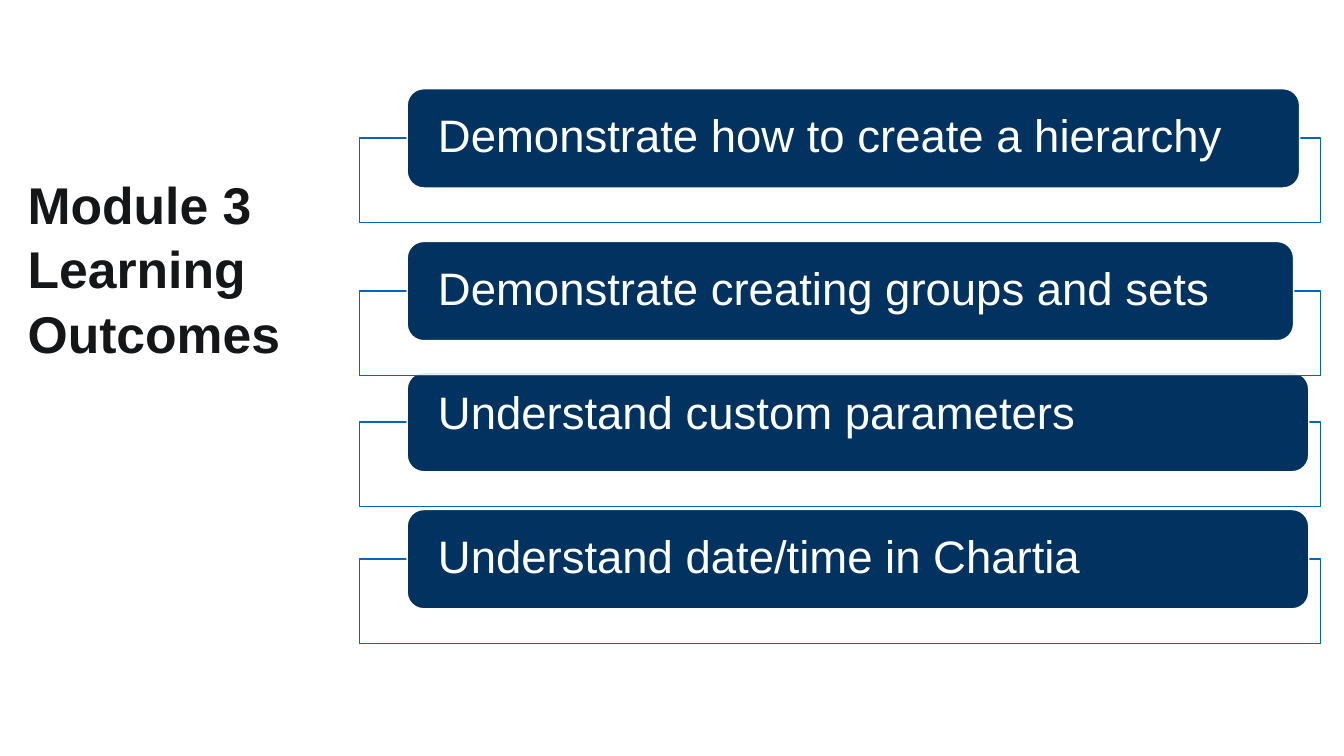
import pptx
import pptx.util
import pptx.dml.color
import pptx.enum.shapes
import pptx.enum.text
import pptx.oxml.ns
from dataclasses import dataclass
from lxml import etree

Inches = pptx.util.Inches
Pt = pptx.util.Pt
RGB = pptx.dml.color.RGBColor.from_string
SHAPE = pptx.enum.shapes.MSO_SHAPE
qn = pptx.oxml.ns.qn


@dataclass(frozen=True)
class Theme:
    font: str = "Arial"
    ink: str = "151618"
    navy: str = "013260"
    blue: str = "0365C0"
    white: str = "FFFFFF"
    title_size: float = 73.8
    outcome_size: float = 65
    line_width: float = 2


class Deck:
    def __init__(self, prs, theme):
        self.theme = theme
        self.s = prs.slides.add_slide(prs.slide_layouts[6])

    def box(self, kind, x, y, w, h, fill, line, alpha=None):
        sp = self.s.shapes.add_shape(kind, Inches(x), Inches(y), Inches(w), Inches(h))
        sp.shadow.inherit = False
        sp.fill.solid()
        sp.fill.fore_color.rgb = RGB(fill)
        sp.line.color.rgb = RGB(line)
        sp.line.width = Pt(self.theme.line_width)
        if alpha is not None:
            color = sp._element.spPr.find(qn("a:solidFill"))[0]
            etree.SubElement(color, qn("a:alpha"), val=str(alpha * 1000))
        return sp

    def text(self, x, y, w, h, text, size, color, bold=False, inset=0, spacing=0.9):
        sp = self.s.shapes.add_textbox(Inches(x), Inches(y), Inches(w), Inches(h))
        tf = sp.text_frame
        tf.word_wrap = True
        tf.vertical_anchor = pptx.enum.text.MSO_ANCHOR.MIDDLE
        tf.margin_left = tf.margin_right = Inches(inset)
        tf.margin_top = tf.margin_bottom = Inches(inset)
        tf.text = text
        p = tf.paragraphs[0]
        p.line_spacing = spacing
        font = p.runs[0].font
        font.name = self.theme.font
        font.size = Pt(size)
        font.bold = bold
        font.color.rgb = RGB(color)

    def outcome(self, text, top, width, text_drop):
        """Outlined frame, a bar overlapping its top edge, and the bar's label."""
        t = self.theme
        self.box(SHAPE.RECTANGLE, 7.13, top + 0.98, 19.08, 1.68, t.white, t.blue, alpha=89)
        bar = self.box(SHAPE.ROUNDED_RECTANGLE, 8.08, top, width, 1.97, t.navy, t.white)
        bar.adjustments[0] = 0.167
        self.text(8.69, top + text_drop, width - 1.2, 0.98, text, t.outcome_size, t.white)


def main():
    prs = pptx.Presentation()
    prs.slide_width, prs.slide_height = Inches(26.67), Inches(15)
    theme = Theme()
    deck = Deck(prs, theme)

    # Title
    deck.text(0.45, 3.22, 6.21, 4.15, "Module 3 Learning Outcomes",
              theme.title_size, theme.ink, bold=True, inset=0.1, spacing=1.04)

    # Outcomes, back to front: text, bar top, bar width, label drop
    outcomes = [
        ("Understand custom parameters", 7.39, 17.89, 0.35),
        ("Understand date/time in Chartia", 10.11, 17.89, 0.48),
        ("Demonstrate how to create a hierarchy", 1.76, 17.71, 0.48),
        ("Demonstrate creating groups and sets", 4.79, 17.59, 0.48),
    ]
    for outcome in outcomes:
        deck.outcome(*outcome)

    prs.save("out.pptx")


if __name__ == "__main__":
    main()
